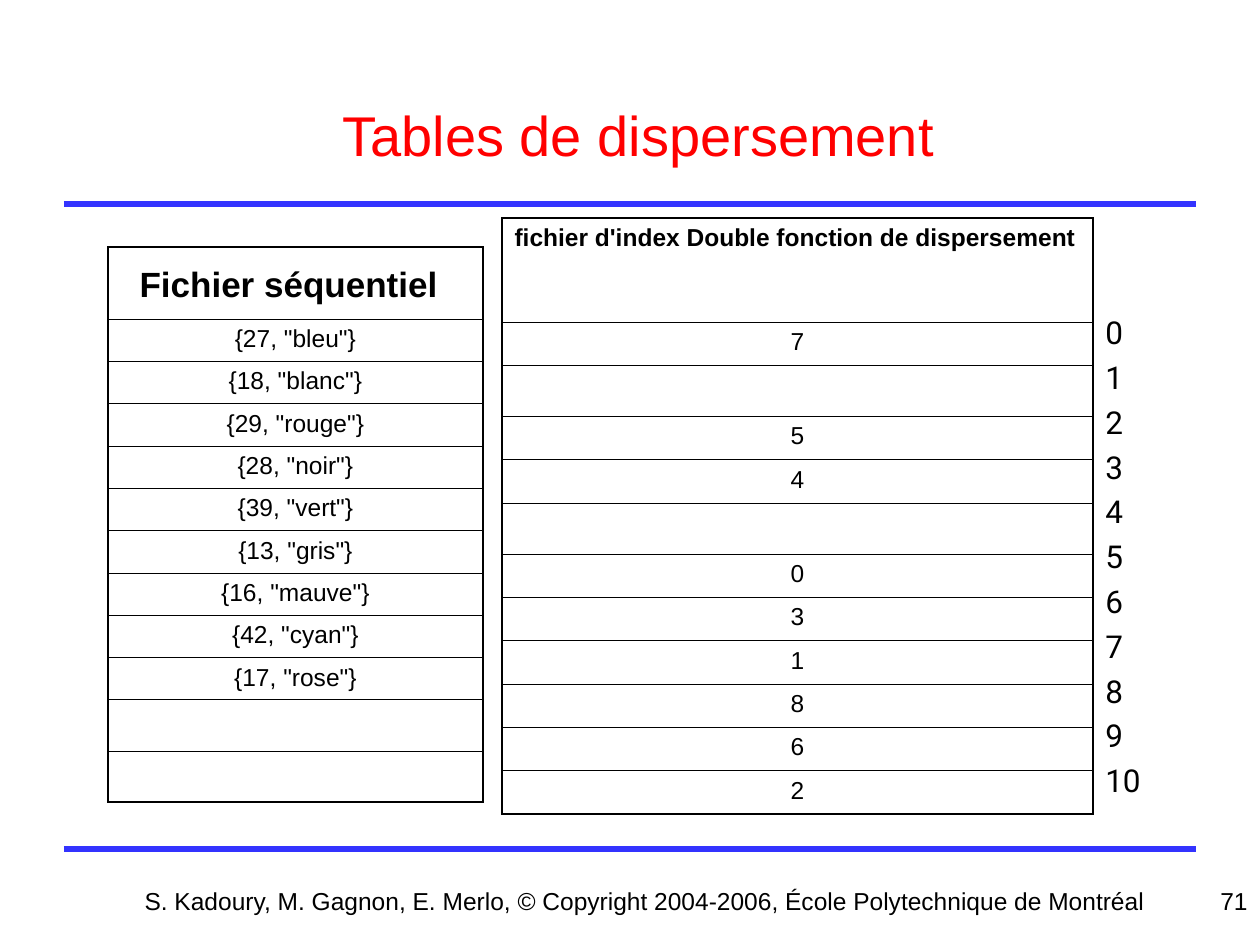
from pptx import Presentation
from pptx.dml.color import RGBColor
from pptx.enum.shapes import MSO_CONNECTOR as Connector
from pptx.enum.text import MSO_ANCHOR as Anchor, MSO_AUTO_SIZE as AutoSize, PP_ALIGN as Align
from pptx.oxml.ns import qn
from pptx.util import Pt
from lxml.etree import SubElement

PX = 914400 // 126
BLACK = RGBColor(0x00, 0x00, 0x00)
RED = RGBColor(0xFF, 0x00, 0x00)
BLUE = RGBColor(0x33, 0x33, 0xFF)
THICK, THIN = Pt(1.08), Pt(0.45)
EMPTY_ROW = 51

RECORDS = [
    '{27, "bleu"}', '{18, "blanc"}', '{29, "rouge"}', '{28, "noir"}',
    '{39, "vert"}', '{13, "gris"}', '{16, "mauve"}', '{42, "cyan"}',
    '{17, "rose"}', "", "",
]
INDEX = ["7", "", "5", "4", "", "0", "3", "1", "8", "6", "2"]


def px(*lengths):
    return [length * PX for length in lengths]


def set_font(font, size, color=BLACK, bold=False, name="Arial"):
    font.name = name
    font.size = Pt(size)
    font.bold = bold
    font.color.rgb = color


def add_title(slide, box, text):
    title = slide.shapes.title
    title.left, title.top, title.width, title.height = px(*box)
    title.text_frame.text = text
    title.text_frame.vertical_anchor = Anchor.MIDDLE
    paragraph = title.text_frame.paragraphs[0]
    paragraph.alignment = Align.CENTER
    set_font(paragraph.font, 32, RED)


def add_rule(slide, left, right, y):
    x1, x2, level = px(left, right, y)
    rule = slide.shapes.add_connector(Connector.STRAIGHT, x1, level, x2, level)
    rule.line.color.rgb = BLUE
    rule.line.width = Pt(3)
    SubElement(rule._element.spPr, qn("a:effectLst"))


def add_footer_text(slide, box, text, alignment):
    shape = slide.shapes.add_textbox(*px(*box))
    shape.text_frame.word_wrap = True
    paragraph = shape.text_frame.paragraphs[0]
    paragraph.text = text
    paragraph.alignment = alignment
    set_font(paragraph.font, 14)


def add_positions(slide, box, count):
    frame = slide.shapes.add_textbox(*px(*box)).text_frame
    frame.word_wrap = False
    frame.auto_size = AutoSize.SHAPE_TO_FIT_TEXT
    frame.text = "\n".join(str(position) for position in range(count))
    for paragraph in frame.paragraphs:
        paragraph.space_after = Pt(4)
        set_font(paragraph.font, 18, name="Roboto")


def set_borders(cell, top, bottom):
    properties = cell._tc.get_or_add_tcPr()
    for side, width in (("L", THICK), ("R", THICK), ("T", top), ("B", bottom)):
        line = SubElement(properties, qn(f"a:ln{side}"), w=str(width))
        fill = SubElement(line, qn("a:solidFill"))
        SubElement(fill, qn("a:srgbClr"), val=str(BLACK))


def add_file_table(slide, box, header_height, values):
    left, top, width, height = px(*box)
    header, empty_row = px(header_height, EMPTY_ROW)
    empty_count = values.count("")
    filled_row = (height - header - empty_count * empty_row) // (len(values) - empty_count)

    table = slide.shapes.add_table(len(values) + 1, 1, left, top, width, height).table
    table.first_row = False
    table.horz_banding = False
    table.rows[0].height = header
    for number, value in enumerate(values, 1):
        table.rows[number].height = filled_row if value else empty_row
        if value:
            paragraph = table.cell(number, 0).text_frame.paragraphs[0]
            paragraph.text = value
            paragraph.alignment = Align.CENTER
            set_font(paragraph.font, 14)
    for number in range(len(values) + 1):
        cell = table.cell(number, 0)
        set_borders(cell, THIN if number else THICK, THIN if number < len(values) else THICK)
        cell.fill.background()
    return table


def add_sequential_file(slide, box):
    table = add_file_table(slide, box, 72, RECORDS)
    paragraph = table.cell(0, 0).text_frame.paragraphs[0]
    paragraph.alignment = Align.CENTER
    for text, size, bold in (("Fichier séquentiel", 20, True), (" ", 28, False)):
        run = paragraph.add_run()
        run.text = text
        set_font(run.font, size, bold=bold)


def add_index_file(slide, box):
    left, top, width, height = box
    table = add_file_table(slide, box, 104, INDEX)
    paragraph = table.cell(0, 0).text_frame.paragraphs[0]
    paragraph.text = "fichier d'index Double fonction de dispersement"
    set_font(paragraph.font, 14, bold=True)
    add_positions(slide, (left + width, top + 89, 62, 499), len(INDEX))


def main():
    presentation = Presentation()
    presentation.slide_width, presentation.slide_height = px(1260, 945)
    slide = presentation.slides.add_slide(presentation.slide_layouts[5])

    for y in (849, 204):
        add_rule(slide, 64, 1196, y)
    add_title(slide, (59, 55, 1159, 158), "Tables de dispersement")
    add_sequential_file(slide, (108, 247, 375, 555))
    add_index_file(slide, (502, 218, 591, 596))
    add_footer_text(
        slide, (124, 880, 1042, 65),
        "S. Kadoury, M. Gagnon, E. Merlo, © Copyright 2004-2006, École Polytechnique de Montréal",
        Align.CENTER,
    )
    add_footer_text(slide, (966, 880, 294, 65), "71", Align.RIGHT)

    presentation.save("out.pptx")


if __name__ == "__main__":
    main()
